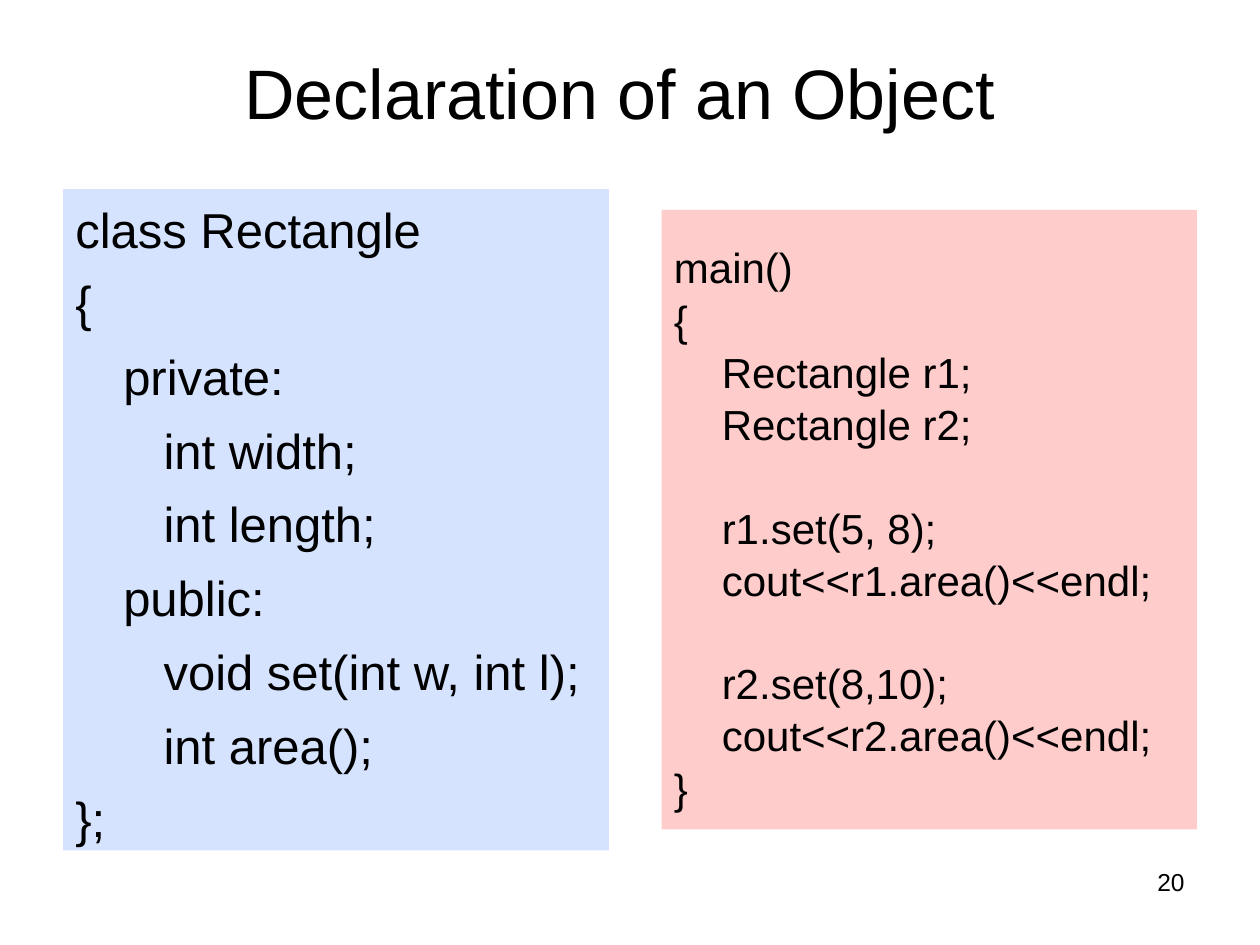
from dataclasses import dataclass

from pptx import Presentation
from pptx import util as u
from pptx.dml.color import RGBColor
from pptx.enum import shapes, text

BLACK = RGBColor(0x00, 0x00, 0x00)
PALE_BLUE = RGBColor(0xD5, 0xE3, 0xFF)
PALE_RED = RGBColor(0xFF, 0xCC, 0xCC)
FONT = "Arial"
COLUMNS, ROWS = 120, 90
WIDTH, HEIGHT = u.Inches(10), u.Inches(7.5)
INDENTS = (0, 0.38, 0.7)


@dataclass(frozen=True)
class Area:
    column: float
    row: float
    columns: float
    rows: float

    def lengths(self) -> tuple[int, int, int, int]:
        return (
            round(WIDTH * self.column / COLUMNS),
            round(HEIGHT * self.row / ROWS),
            round(WIDTH * self.columns / COLUMNS),
            round(HEIGHT * self.rows / ROWS),
        )


@dataclass(frozen=True)
class Line:
    wording: str
    depth: int = 0
    gap: bool = False


@dataclass(frozen=True)
class Panel:
    area: Area
    fill: RGBColor
    size: float
    pitch: float
    before: float
    spacing: float
    top_inset: float
    lines: tuple[Line, ...]


@dataclass(frozen=True)
class Label:
    area: Area
    wording: str
    size: float
    align: text.PP_ALIGN
    anchor: text.MSO_ANCHOR


PANELS = (
    Panel(
        Area(6, 18, 52, 63), PALE_BLUE, 28, 40.7, 8.5, 1.0, 0.08,
        (
            Line("class Rectangle"),
            Line("{"),
            Line("private:", 1),
            Line("int width;", 2),
            Line("int length;", 2),
            Line("public:", 1),
            Line("void set(int w, int l);", 2),
            Line("int area();", 2),
            Line("};"),
        ),
    ),
    Panel(
        Area(63, 20, 51, 59), PALE_RED, 24, 29, 6.9, 0.8, 0.33,
        (
            Line("main()"),
            Line("{"),
            Line("Rectangle r1;", 1),
            Line("Rectangle r2;", 1),
            Line("r1.set(5, 8);", 1, gap=True),
            Line("cout<<r1.area()<<endl;", 1),
            Line("r2.set(8,10);", 1, gap=True),
            Line("cout<<r2.area()<<endl;", 1),
            Line("}"),
        ),
    ),
)

LABELS = (
    Label(Area(5, 4.5, 108, 8.5), "Declaration of an Object", 40,
          text.PP_ALIGN.CENTER, text.MSO_ANCHOR.MIDDLE),
    Label(Area(86, 82, 28, 6.2), "20", 14,
          text.PP_ALIGN.RIGHT, text.MSO_ANCHOR.TOP),
)


def write(para, wording: str, size: float, align: text.PP_ALIGN) -> None:
    para.text = wording
    para.alignment = align
    para.font.name = FONT
    para.font.size = u.Pt(size)
    para.font.color.rgb = BLACK


def draw_panel(page, panel: Panel) -> None:
    box = page.shapes.add_shape(
        shapes.MSO_SHAPE.RECTANGLE, *panel.area.lengths())
    box.shadow.inherit = False
    box.fill.solid()
    box.fill.fore_color.rgb = panel.fill
    box.line.fill.background()
    frame = box.text_frame
    frame.word_wrap = True
    frame.vertical_anchor = text.MSO_ANCHOR.TOP
    frame.margin_top = u.Inches(panel.top_inset)
    for index, line in enumerate(panel.lines):
        para = frame.add_paragraph() if index else frame.paragraphs[0]
        write(para, line.wording, panel.size, text.PP_ALIGN.LEFT)
        para.line_spacing = panel.spacing
        before = panel.before + (panel.pitch if line.gap else 0)
        para.space_before = u.Pt(before if index else 0)
        properties = para._p.get_or_add_pPr()
        properties.set("marL", str(u.Inches(INDENTS[line.depth])))
        properties.set("indent", "0")


def draw_label(page, label: Label) -> None:
    box = page.shapes.add_textbox(*label.area.lengths())
    frame = box.text_frame
    frame.word_wrap = True
    frame.vertical_anchor = label.anchor
    write(frame.paragraphs[0], label.wording, label.size, label.align)


def main() -> None:
    deck = Presentation()
    deck.slide_width, deck.slide_height = WIDTH, HEIGHT
    page = deck.slides.add_slide(deck.slide_layouts[6])
    for panel in PANELS:
        draw_panel(page, panel)
    for label in LABELS:
        draw_label(page, label)
    deck.save("out.pptx")


if __name__ == "__main__":
    main()
